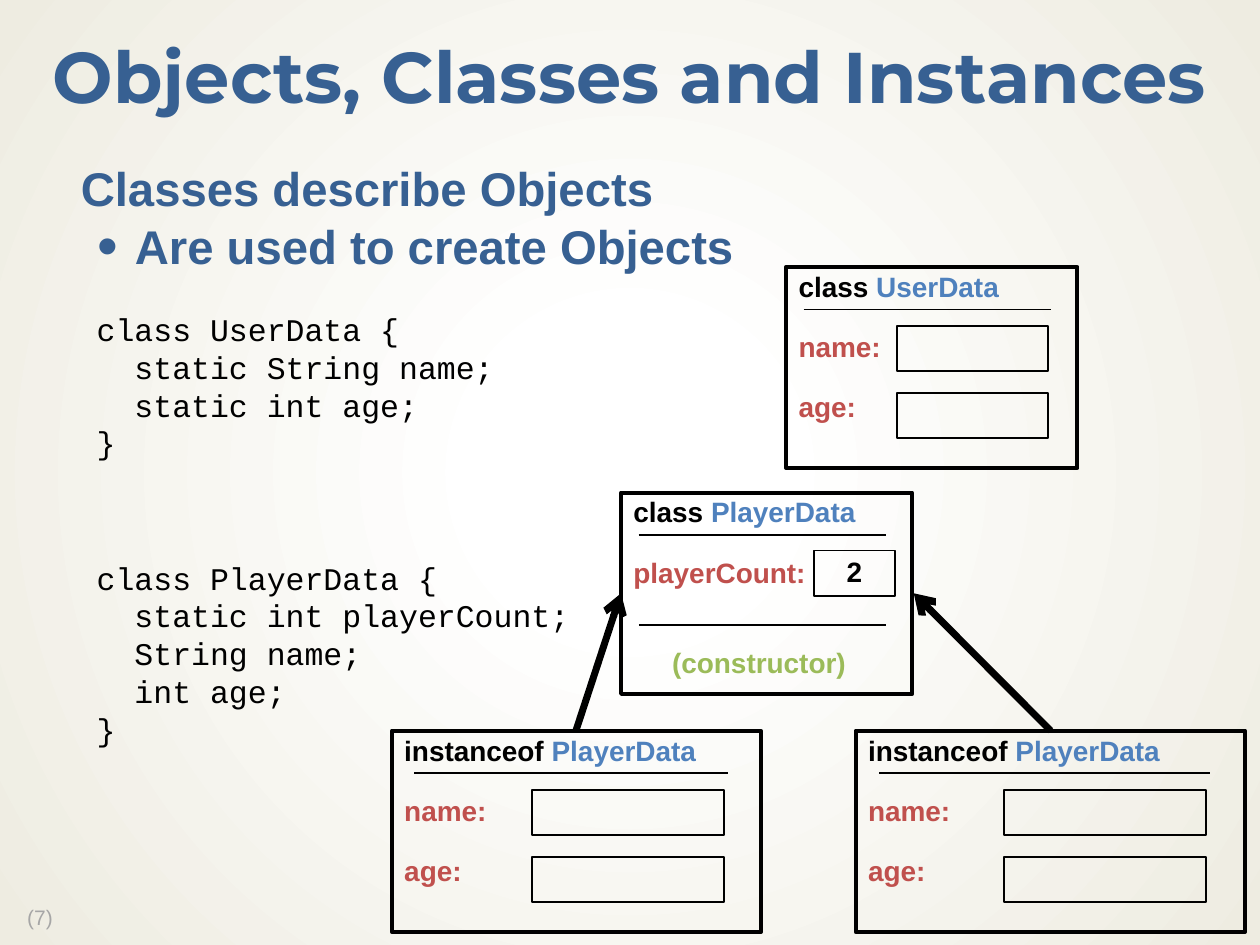
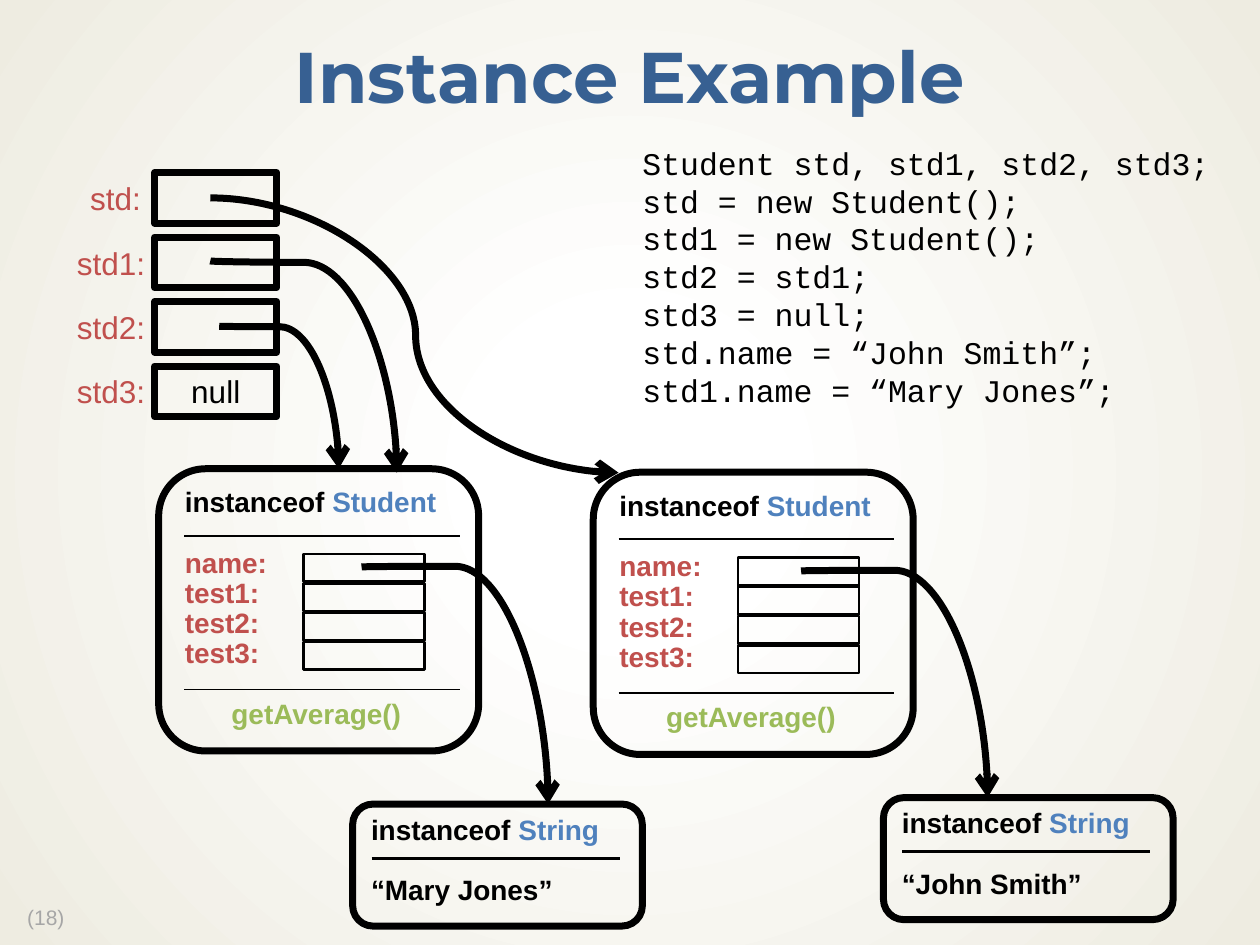
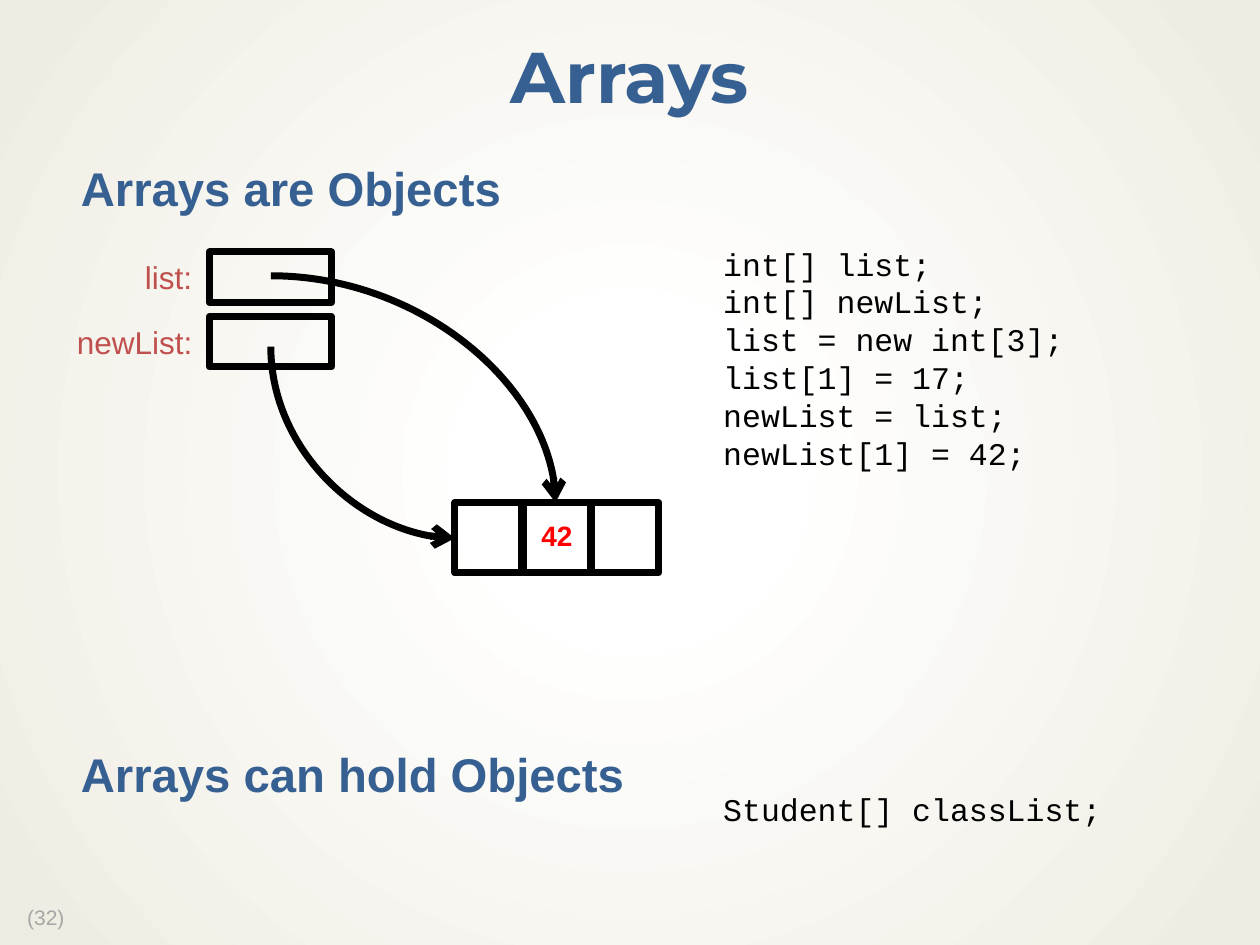
from lxml.etree import SubElement
from pptx import Presentation
from pptx.dml.color import RGBColor
from pptx.enum.shapes import MSO_CONNECTOR as Link, MSO_SHAPE as Shape
from pptx.enum.text import MSO_ANCHOR as Anchor, MSO_AUTO_SIZE as AutoSize, PP_ALIGN as Align
from pptx.oxml import parse_xml
from pptx.oxml.ns import nsdecls, qn
from pptx.util import Cm, Pt

# Shared style
BLACK, NAVY, GREY = "000000", "376092", "A6A6A6"
BLUE, RED, GREEN, BRIGHT_RED = "4F81BD", "C0504D", "9BBB59", "FF0000"
SANS, MONO, DISPLAY = "Arial", "Courier New", "Montserrat"
WIDTH, HEIGHT = 25.4, 19.05
THICK, FRAME, THIN = 4, 2.25, 1
LINE_GAP = 17.2  # height of one skipped line in a card, in points
CELL_WIDTH, CELL_HEIGHT, CELL_PITCH = 2.46, 1.02, 1.3


def color(code):
    return RGBColor.from_string(code)


# Text
def write(frame, text, *, font=SANS, size=16, tint=BLACK, bold=True, align=Align.LEFT,
          line=0.9, before=0, left=0, hang=0, bullet="", accent="", accent_tint=BLUE):
    """Add a paragraph, optionally ending in an accented span."""
    para = frame.paragraphs[0]
    if para.runs:
        para = frame.add_paragraph()
    para.alignment, para.line_spacing = align, line
    if before:
        para.space_before = Pt(before)
    props = para._p.get_or_add_pPr()
    props.set("marL", str(Cm(left)))
    props.set("indent", str(Cm(-hang)))
    if bullet:
        SubElement(props, qn("a:buSzPct"), val="125000")
        SubElement(props, qn("a:buFont"), typeface=font)
        SubElement(props, qn("a:buChar"), char=bullet)
    for words, shade in ((text, tint), (accent, accent_tint)):
        if words:
            span = para.add_run()
            span.text = words
            span.font.name, span.font.size, span.font.bold = font, Pt(size), bold
            span.font.color.rgb = color(shade)


def text_box(page, left, top, width, height, *, wrap=True, anchor=Anchor.TOP,
             inset=(0.25, 0.13)):
    frame = page.shapes.add_textbox(Cm(left), Cm(top), Cm(width), Cm(height)).text_frame
    frame.word_wrap = wrap
    frame.auto_size = AutoSize.NONE if wrap else AutoSize.SHAPE_TO_FIT_TEXT
    frame.vertical_anchor = anchor
    frame.margin_left = frame.margin_right = Cm(inset[0])
    frame.margin_top = frame.margin_bottom = Cm(inset[1])
    return frame


def code(page, left, top, width, height, listing):
    frame = text_box(page, left, top, width, height, wrap=False)
    for row in listing.split("\n"):
        write(frame, row, font=MONO, size=18, bold=False, line=1.0)


def body(page):
    return text_box(page, 0.97, 3.18, 23.5, 14.35, inset=(0.3, 0.15))


def topic(frame, text, **style):
    write(frame, text, size=27, tint=NAVY, **{"left": 0.36, **style})


# Shapes and lines
def outline(page, left, top, width, height, weight, kind=Shape.RECTANGLE, anchor=Anchor.TOP):
    shape = page.shapes.add_shape(kind, Cm(left), Cm(top), Cm(width), Cm(height))
    shape.shadow.inherit = False
    shape.fill.background()
    shape.line.color.rgb = color(BLACK)
    shape.line.width = Pt(weight)
    shape.text_frame.vertical_anchor = anchor
    return shape.text_frame


def connect(page, start, end, weight, kind=Link.STRAIGHT, arrow=False):
    link = page.shapes.add_connector(kind, *(Cm(value) for value in start + end))
    link.line.color.rgb = color(BLACK)
    link.line.width = Pt(weight)
    if arrow:
        SubElement(link.element.spPr.find(qn("a:ln")), qn("a:tailEnd"), type="arrow")
    SubElement(link.element.spPr, qn("a:effectLst"))
    return link


def rule(page, left, top, width, weight=THIN):
    connect(page, (left, top), (left + width, top), weight)


def curve(page, start, end, preset="curvedConnector3", bend=None, turned=False):
    """Draw a curved arrow; a turned one swaps the roles of its two axes."""
    link = connect(page, start, end, THICK, Link.CURVE, arrow=True)
    geometry = link.element.spPr.find(qn("a:prstGeom"))
    geometry.set("prst", preset)
    if bend is not None:
        SubElement(geometry.find(qn("a:avLst")), qn("a:gd"), name="adj1", fmla=f"val {bend}")
    if turned:
        across, down = end[0] - start[0], end[1] - start[1]
        link.left = Cm((start[0] + end[0] - down) / 2)
        link.top = Cm((start[1] + end[1] - across) / 2)
        link.width, link.height = Cm(down), Cm(across)
        frame = link.element.spPr.find(qn("a:xfrm"))
        frame.set("rot", "16200000")
        frame.set("flipH", "1")


# Diagram parts
def class_card(page, left, top, width, keyword, name):
    frame = outline(page, left, top, width, 4.06, FRAME)
    write(frame, keyword + " ", accent=name)
    rule(page, left + 0.06 * width, top + 0.86, 0.85 * width)
    return frame


def person_card(page, left, top, width, keyword, name):
    frame = class_card(page, left, top, width, keyword, name)
    for row, field in enumerate(("name:", "age:")):
        write(frame, field, tint=RED, before=LINE_GAP)
        outline(page, left + 0.38 * width, top + 1.19 + 1.35 * row, 0.52 * width, 0.91, THIN)


def counter_card(page, left, top):
    frame = class_card(page, left, top, 5.87, "class", "PlayerData")
    write(frame, "playerCount:", tint=RED, before=LINE_GAP)
    write(frame, "(constructor)", tint=GREEN, before=2 * LINE_GAP, left=0.78)
    count = outline(page, left + 3.89, top + 1.17, 1.63, 0.91, THIN, anchor=Anchor.MIDDLE)
    write(count, "2", align=Align.CENTER)
    rule(page, left + 0.36, top + 2.67, 4.98)


def student_card(page, left, top):
    frame = outline(page, left, top, 6.45, 5.69, THICK, Shape.ROUNDED_RECTANGLE)
    write(frame, "instanceof ", accent="Student")
    for row, field in enumerate(("name:", "test1:", "test2:", "test3:")):
        write(frame, field, tint=RED, before=0 if row else LINE_GAP)
        outline(page, left + 2.92, top + 1.72 + 0.59 * row, 2.44, 0.56, 1.5)
    write(frame, "getAverage()", tint=GREEN, before=LINE_GAP, left=0.94)
    for offset in (1.35, 4.45):
        rule(page, left + 0.51, top + offset, 5.56)


def string_card(page, left, top, value):
    frame = outline(page, left, top, 5.84, 2.46, THICK, Shape.ROUNDED_RECTANGLE)
    write(frame, "instanceof ", accent="String")
    write(frame, value, before=LINE_GAP)
    rule(page, left + 0.38, top + 1.09, 5, 1.5)


def variables(page, cell_left, top, labels):
    """Stack labelled cells; each label is (name, left, width, value)."""
    for row, (name, left, width, value) in enumerate(labels):
        row_top = top + CELL_PITCH * row
        label = text_box(page, left, row_top, width, CELL_HEIGHT, wrap=False)
        write(label, name, size=18, tint=RED, bold=False, line=1.0)
        cell = outline(page, cell_left, row_top, CELL_WIDTH, CELL_HEIGHT, THICK)
        if value:
            write(cell, value, size=18, bold=False, line=1.0, align=Align.CENTER)


# Pages
def paint_background(deck):
    master = deck.slide_master
    master.background.fill.gradient()
    gradient = master.element.find(".//" + qn("a:gradFill"))
    gradient.getparent().replace(gradient, parse_xml(
        f'<a:gradFill {nsdecls("a")} rotWithShape="1"><a:gsLst>'
        '<a:gs pos="18000"><a:srgbClr val="FFFFFF"><a:alpha val="53000"/></a:srgbClr></a:gs>'
        '<a:gs pos="100000"><a:srgbClr val="EEECE1"/></a:gs></a:gsLst>'
        '<a:path path="circle"><a:fillToRect l="50000" t="50000" r="50000" b="50000"/></a:path>'
        '</a:gradFill>'))


def new_page(deck, title, number):
    page = deck.slides.add_slide(deck.slide_layouts[6])
    footer = text_box(page, 0.18, 18.16, 1.42, 0.71, wrap=False, inset=(0.37, 0.13))
    footer.margin_right = Cm(0)
    write(footer, f"({number})", size=12, tint=GREY, bold=False)
    heading = text_box(page, 0, 0.43, WIDTH, 2.39, anchor=Anchor.MIDDLE, inset=(0.33, 0.15))
    write(heading, title, font=DISPLAY, size=41, tint=NAVY, align=Align.CENTER)
    return page


def classes_page(deck):
    page = new_page(deck, "Objects, Classes and Instances", 7)
    frame = body(page)
    topic(frame, "Classes describe Objects")
    topic(frame, "Are used to create Objects", before=4, left=1.45, hang=0.76, bullet="•")
    code(page, 1.7, 6.12, 8.59, 3.33,
         "class UserData {\n  static String name;\n  static int age;\n}")
    code(page, 1.7, 11.13, 10.13, 4.11,
         "class PlayerData {\n  static int playerCount;\n  String name;\n  int age;\n}")
    person_card(page, 15.85, 5.38, 5.87, "class", "UserData")
    counter_card(page, 12.52, 9.93)
    for left, width in ((17.25, 7.85), (7.9, 7.44)):
        person_card(page, left, 14.73, width, "instanceof", "PlayerData")
    for start, end in ((21.18, 18.42), (11.61, 12.52)):
        connect(page, (start, 14.73), (end, 11.96), THICK, arrow=True)


def instances_page(deck):
    page = new_page(deck, "Instance Example", 18)
    code(page, 12.7, 2.77, 12.45, 5.64,
         "Student std, std1, std2, std3;\nstd = new Student();\nstd1 = new Student();\n"
         "std2 = std1;\nstd3 = null;\nstd.name = “John Smith”;\nstd1.name = “Mary Jones”;")
    variables(page, 3.12, 3.48, (
        ("std:", 1.57, 1.55, ""), ("std1:", 1.3, 1.9, ""),
        ("std2:", 1.3, 1.9, ""), ("std3:", 1.3, 1.9, "null")))
    student_card(page, 3.2, 9.45)
    student_card(page, 11.96, 9.52)
    string_card(page, 7.11, 16.21, "“Mary Jones”")
    string_card(page, 17.81, 16.08, "“John Smith”")
    curve(page, (4.24, 3.99), (12.47, 9.53), bend=50300)
    for start, end, bend in (
            ((4.24, 5.26), (8, 9.53), 700),
            ((4.42, 6.58), (6.83, 9.45), 200),
            ((7.29, 11.43), (11.05, 16.21), -300),
            ((16.15, 11.51), (19.91, 16.08), -300)):
        curve(page, start, end, bend=bend, turned=True)


def arrays_page(deck):
    page = new_page(deck, "Arrays", 32)
    frame = body(page)
    topic(frame, "Arrays are Objects")
    topic(frame, "Arrays can hold Objects", before=306)
    code(page, 14.33, 4.8, 7.44, 4.88,
         "int[] list;\nint[] newList;\nlist = new int[3];\nlist[1] = 17;\n"
         "newList = list;\nnewList[1] = 42;")
    variables(page, 4.22, 5.08, (("list:", 2.67, 1.47, ""), ("newList:", 1.3, 2.87, "")))
    for index, value in enumerate(("", "42", "")):
        cell = outline(page, 9.17 + 1.38 * index, 10.13, 1.35, 1.42, THICK, anchor=Anchor.MIDDLE)
        if value:
            write(cell, value, tint=BRIGHT_RED, align=Align.CENTER)
    curve(page, (5.46, 5.56), (11.2, 10.13), "curvedConnector2")
    curve(page, (5.46, 6.99), (9.17, 10.85), "curvedConnector2", turned=True)
    code(page, 14.33, 15.8, 8.2, 1.02, "Student[] classList;")


def main():
    deck = Presentation()
    deck.slide_width, deck.slide_height = Cm(WIDTH), Cm(HEIGHT)
    paint_background(deck)
    classes_page(deck)
    instances_page(deck)
    arrays_page(deck)
    deck.save("out.pptx")


if __name__ == "__main__":
    main()
